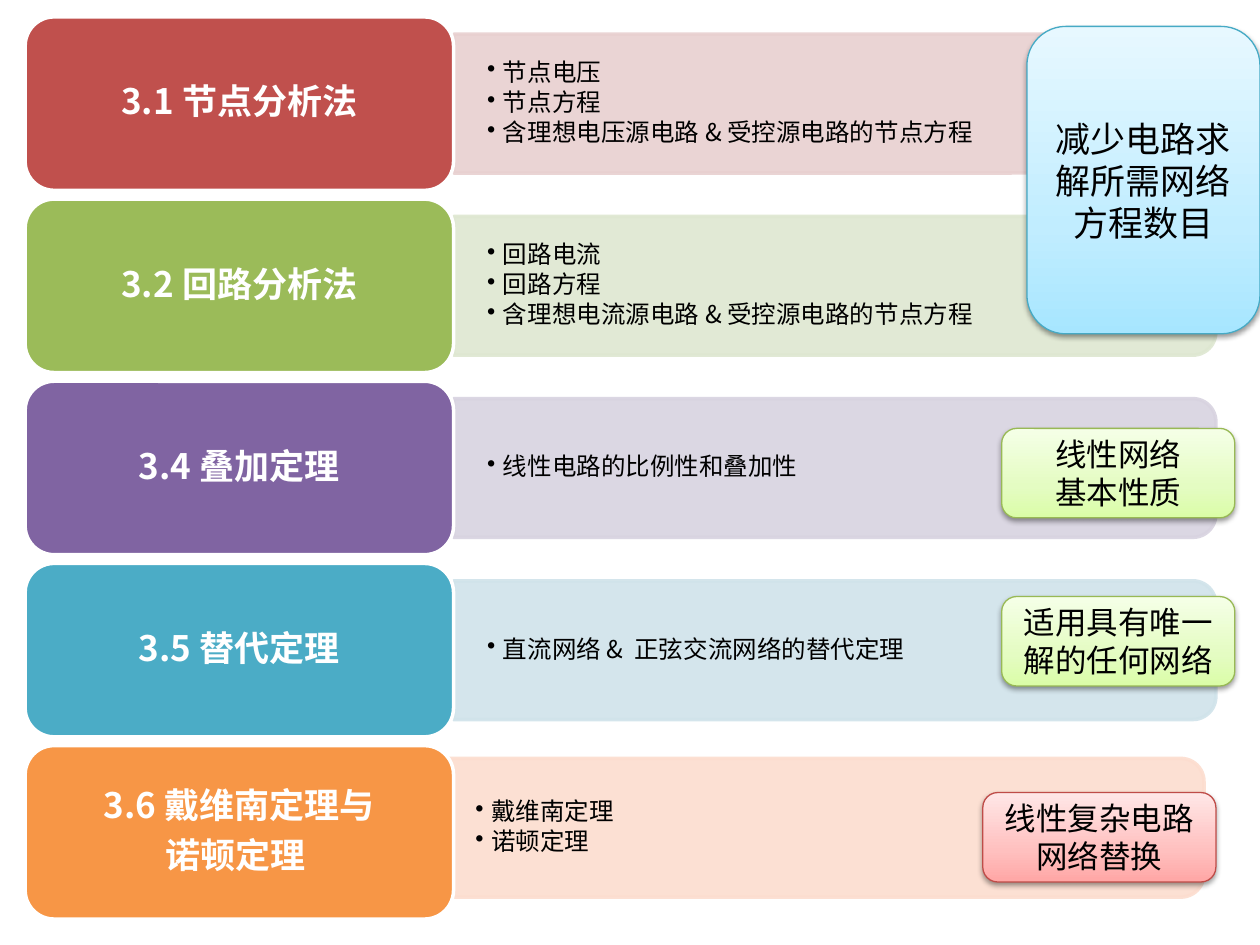
from dataclasses import dataclass

import lxml.etree
import pptx
import pptx.dml.color
import pptx.enum.shapes
import pptx.enum.text
import pptx.oxml
import pptx.oxml.ns
import pptx.util

Pt = pptx.util.Pt
qn = pptx.oxml.ns.qn
MSO_SHAPE = pptx.enum.shapes.MSO_SHAPE
CENTER = pptx.enum.text.PP_ALIGN.CENTER

FONT = "Noto Sans CJK SC"
COLORS = {
    "black": "000000", "white": "FFFFFF",
    "red": "C0504D", "green": "9BBB59", "purple": "8064A2",
    "teal": "4BACC6", "orange": "F79646",
    "red_bar": "E8D0D0", "green_bar": "DEE7D1", "purple_bar": "D8D3E0",
    "teal_bar": "D0E3EA", "orange_bar": "FCDDCF",
    "blue_edge": "46AAC5", "lime_edge": "98B955", "rose_edge": "BF4C48",
}
GRADIENTS = {
    "blue": ("A7E6FF", "C1EDFF", "E7F8FF"),
    "lime": ("DAFDA7", "E4FCC2", "F5FFE7"),
    "rose": ("FFA6A5", "FFC0BF", "FFE7E7"),
}
STOPS = (0, 0.35, 1)

ROW_LEFT, ROW_TOP, ROW_PITCH = 14.4, 9.7, 104.1
HEAD_W, HEAD_H = 244.8, 99.1
BAR_W, BAR_H = 435.6, 79.3
BULLETS_W, BULLETS_H = 431.3, 71.3
CALLOUT_W = 133.2


@dataclass
class Section:
    heading: list[str]
    bullets: list[str]
    color: str
    dx: float = 0
    dy: float = 0


@dataclass
class Callout:
    left: float
    top: float
    height: float
    color: str
    size: float
    lines: list[str]


SECTIONS = [
    Section(["3.1 节点分析法"],
            ["节点电压", "节点方程", "含理想电压源电路 & 受控源电路的节点方程"], "red"),
    Section(["3.2 回路分析法"],
            ["回路电流", "回路方程", "含理想电流源电路 & 受控源电路的节点方程"], "green"),
    Section(["3.4 叠加定理"], ["线性电路的比例性和叠加性"], "purple"),
    Section(["3.5 替代定理"], ["直流网络 &  正弦交流网络的替代定理"], "teal"),
    Section(["3.6 戴维南定理与", "诺顿定理 "], ["戴维南定理", "诺顿定理"],
            "orange", dx=-6.8, dy=-2.6),
]
CALLOUTS = [
    Callout(586.8, 15.1, 175.7, "blue", 20, ["减少电路求解所需网络方程数目"]),
    Callout(572.4, 244.8, 51.1, "lime", 18, ["线性网络", "基本性质"]),
    Callout(572.4, 340.9, 51.1, "lime", 18, ["适用具有唯一解的任何网络"]),
    Callout(561.6, 452.9, 51.1, "rose", 18, ["线性复杂电路网络替换"]),
]


def rgb(name: str) -> pptx.dml.color.RGBColor:
    return pptx.dml.color.RGBColor.from_string(COLORS.get(name, name))


def write(s, lines: list[str], size: float, color: str = "black", bold: bool = False,
          align=CENTER, spacing: float = 1, after: float = 0,
          insets: tuple[float, float] = (7.2, 3.6)) -> None:
    tf = s.text_frame
    tf.word_wrap = True
    tf.vertical_anchor = pptx.enum.text.MSO_ANCHOR.MIDDLE
    tf.margin_left = tf.margin_right = Pt(insets[0])
    tf.margin_top = tf.margin_bottom = Pt(insets[1])
    for i, line in enumerate(lines):
        p = tf.paragraphs[0] if i == 0 else tf.add_paragraph()
        p.alignment, p.line_spacing, p.space_after = align, spacing, Pt(after)
        r = p.add_run()
        r.text = line
        p.font.name, p.font.size, p.font.bold = FONT, Pt(size), bold
        p.font.color.rgb = rgb(color)
        # East Asian text takes its typeface from the run.
        r.font.name = FONT
        lxml.etree.SubElement(r.font._element, qn("a:ea"), typeface=FONT)


def add_box(slide, kind, left: float, top: float, width: float, height: float,
            line: str, weight: float):
    s = slide.shapes.add_shape(kind, Pt(left), Pt(top), Pt(width), Pt(height))
    s.line.color.rgb, s.line.width = rgb(line), Pt(weight)
    s.shadow.inherit = False
    return s


def add_bar(slide, left: float, middle: float, color: str) -> None:
    """A bar rounded at its right end: an upright shape turned a quarter."""
    s = add_box(slide, MSO_SHAPE.ROUND_2_SAME_RECTANGLE,
                left + (BAR_W - BAR_H) / 2, middle - BAR_W / 2, BAR_H, BAR_W, color, 2)
    s.rotation = 90
    s.fill.solid()
    s.fill.fore_color.rgb = rgb(color)
    for clr in s._element.spPr.iter(qn("a:srgbClr")):
        lxml.etree.SubElement(clr, qn("a:alpha"), val="90000")


def add_bullets(slide, left: float, middle: float, lines: list[str]) -> None:
    s = slide.shapes.add_textbox(Pt(left), Pt(middle - BULLETS_H / 2),
                                 Pt(BULLETS_W), Pt(BULLETS_H))
    write(s, lines, 14, align=pptx.enum.text.PP_ALIGN.LEFT, spacing=0.9, after=2.1,
          insets=(19.2, 10))
    for p in s.text_frame.paragraphs:
        p.level = 1
        pPr = p._element.get_or_add_pPr()
        pPr.set("marL", str(Pt(9)))
        pPr.set("indent", str(-Pt(9)))
        bullet = lxml.etree.Element(qn("a:buChar"), char="•")
        pPr.find(qn("a:defRPr")).addprevious(bullet)


def add_section(slide, index: int, section: Section) -> None:
    top = ROW_TOP + index * ROW_PITCH
    middle = top + HEAD_H / 2 + section.dy
    left = ROW_LEFT + HEAD_W + section.dx
    add_bar(slide, left, middle, section.color + "_bar")
    add_bullets(slide, left, middle, section.bullets)
    s = add_box(slide, MSO_SHAPE.ROUNDED_RECTANGLE, ROW_LEFT, top, HEAD_W, HEAD_H,
                "white", 2)
    s.fill.solid()
    s.fill.fore_color.rgb = rgb(section.color)
    write(s, section.heading, 20, "white", bold=True, spacing=0.9, after=7,
          insets=(5.8, 2.9))


def fill_gradient(s, colors: tuple[str, ...]) -> None:
    s.fill.gradient()
    s.fill.gradient_angle = 90
    first = s._element.spPr.find(".//" + qn("a:gs"))
    first.addnext(pptx.oxml.parse_xml(lxml.etree.tostring(first)))
    for stop, position, color in zip(s.fill.gradient_stops, STOPS, colors):
        stop.position = position
        stop.color.rgb = rgb(color)


def add_shadow(s) -> None:
    effects = s._element.spPr.find(qn("a:effectLst"))
    shadow = lxml.etree.SubElement(effects, qn("a:outerShdw"), blurRad=str(Pt(3.1)),
                                   dist=str(Pt(1.6)), dir="5400000", rotWithShape="0")
    clr = lxml.etree.SubElement(shadow, qn("a:srgbClr"), val=COLORS["black"])
    lxml.etree.SubElement(clr, qn("a:alpha"), val="38000")


def add_callout(slide, callout: Callout) -> None:
    s = add_box(slide, MSO_SHAPE.ROUNDED_RECTANGLE, callout.left, callout.top,
                CALLOUT_W, callout.height, callout.color + "_edge", 0.75)
    fill_gradient(s, GRADIENTS[callout.color])
    add_shadow(s)
    write(s, callout.lines, callout.size)


def main() -> None:
    prs = pptx.Presentation()
    prs.slide_width, prs.slide_height = Pt(720), Pt(540)
    slide = prs.slides.add_slide(prs.slide_layouts[6])
    for i, section in enumerate(SECTIONS):
        add_section(slide, i, section)
    for callout in CALLOUTS:
        add_callout(slide, callout)
    prs.save("out.pptx")


if __name__ == "__main__":
    main()
